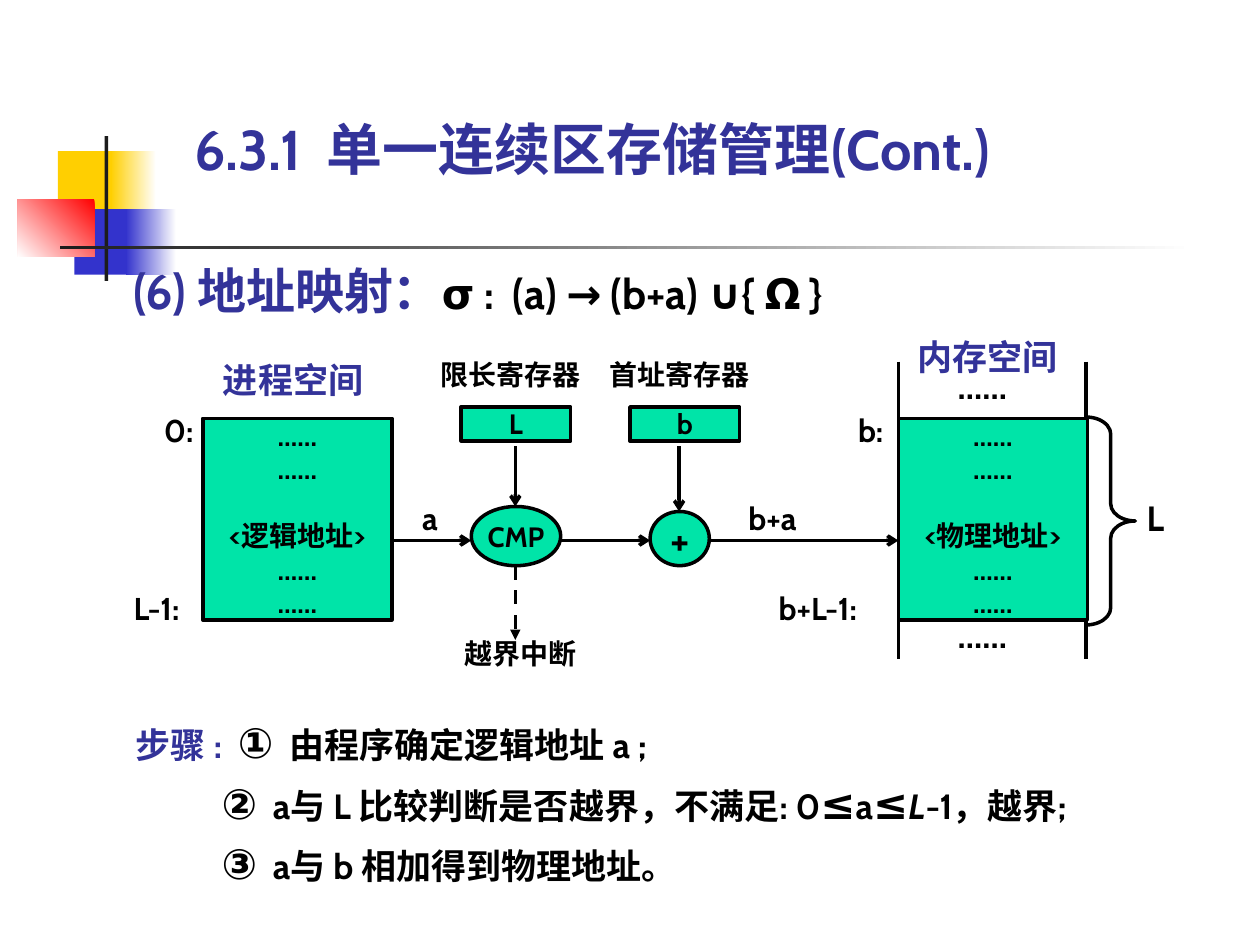
from dataclasses import dataclass

from lxml import etree
from pptx import Presentation
from pptx import util as u
from pptx.dml.color import RGBColor
from pptx.enum import dml, shapes, text
from pptx.oxml import ns


@dataclass(frozen=True)
class Theme:
    font: str = "Cabin"
    ink: str = "000000"
    accent: str = "333399"
    box: str = "00E4A8"
    gold: str = "FFCF01"
    blue: str = "3333CC"
    red: str = "FF0000"
    bar: str = "1C1C1C"
    white: str = "FFFFFF"
    title: int = 32
    heading: int = 28
    formula: int = 24
    body: int = 20
    label: int = 18
    small: int = 16
    line: int = 2


T = Theme()
SHAPE = shapes.MSO_SHAPE
LEFT, CENTER = text.PP_ALIGN.LEFT, text.PP_ALIGN.CENTER
TOP, MIDDLE = text.MSO_ANCHOR.TOP, text.MSO_ANCHOR.MIDDLE


def rgb(value):
    return RGBColor.from_string(value)


def inches(values):
    return [u.Inches(v) for v in values]


def format_run(r, size, color=T.ink, italic=False):
    r.font.name, r.font.size = T.font, u.Pt(size)
    r.font.bold, r.font.italic = True, italic
    r.font.color.rgb = rgb(color)


def add_runs(p, runs):
    for words, *style in runs:
        r = p.add_run()
        r.text = words
        format_run(r, *style)


def set_frame(tf, anchor=TOP, inset=(0, 0)):
    tf.word_wrap = True
    tf.auto_size = text.MSO_AUTO_SIZE.NONE
    tf.vertical_anchor = anchor
    tf.margin_left = tf.margin_right = u.Inches(inset[0])
    tf.margin_top = tf.margin_bottom = u.Inches(inset[1])


def write(tf, lines, size, color=T.ink, align=CENTER):
    tf.text = "\n".join(lines)
    for p in tf.paragraphs:
        p.alignment = align
        for r in p.runs:
            format_run(r, size, color)


def add_label(s, words, at, size, color=T.ink, align=LEFT, spacing=0.8):
    tf = s.shapes.add_textbox(*inches(at)).text_frame
    set_frame(tf)
    write(tf, [words], size, color, align)
    tf.paragraphs[0].line_spacing = spacing


def add_box(s, lines, at, size=T.small, kind=SHAPE.RECTANGLE, anchor=TOP):
    sp = s.shapes.add_shape(kind, *inches(at))
    sp.shadow.inherit = False
    sp.fill.solid()
    sp.fill.fore_color.rgb = rgb(T.box)
    sp.line.color.rgb = rgb(T.ink)
    sp.line.width = u.Pt(T.line)
    set_frame(sp.text_frame, anchor)
    write(sp.text_frame, lines, size)
    return sp


def add_line(s, start, end, head=None, dashed=False):
    c = s.shapes.add_connector(shapes.MSO_CONNECTOR.STRAIGHT, *inches(start + end))
    c.line.color.rgb = rgb(T.ink)
    c.line.width = u.Pt(T.line)
    if dashed:
        c.line.dash_style = dml.MSO_LINE.DASH
    if head:
        tail = etree.SubElement(c.line._get_or_add_ln(), ns.qn("a:tailEnd"))
        tail.set("type", head)
    etree.SubElement(c._element.spPr, ns.qn("a:effectLst"))


def add_block(s, at, colors, angle=180):
    """A borderless rectangle, plain with one colour and shaded with two."""
    sp = s.shapes.add_shape(SHAPE.RECTANGLE, *inches(at))
    sp.shadow.inherit = False
    sp.line.fill.background()
    if len(colors) == 1:
        sp.fill.solid()
        sp.fill.fore_color.rgb = rgb(colors[0])
        return
    sp.fill.gradient()
    sp.fill.gradient_angle = angle
    for position, (stop, color) in enumerate(zip(sp.fill.gradient_stops, colors)):
        stop.position = position
        stop.color.rgb = rgb(color)


def add_decoration(s):
    add_block(s, (0.46, 1.2, 0.48, 0.52), [T.gold])
    add_block(s, (0.88, 1.2, 0.36, 0.52), [T.white, T.gold])
    add_block(s, (0.59, 1.66, 0.46, 0.52), [T.blue])
    add_block(s, (1, 1.66, 0.4, 0.52), [T.white, T.blue])
    add_block(s, (0.14, 1.58, 0.61, 0.46), [T.red, T.white], 225)
    add_block(s, (0.83, 1.08, 0.03, 1.15), [T.bar])
    add_block(s, (0.48, 1.95, 9, 0.03), [T.white, T.bar])


def add_headings(s):
    title = s.shapes.title
    title.left, title.top, title.width, title.height = inches((1.54, 0.91, 7.01, 0.53))
    set_frame(title.text_frame, text.MSO_ANCHOR.BOTTOM)
    write(title.text_frame, ["6.3.1  单一连续区存储管理(Cont.)"], T.title, T.accent, LEFT)

    tf = s.shapes.add_textbox(*inches((1.06, 2.02, 7.72, 0.51))).text_frame
    set_frame(tf)
    p = tf.paragraphs[0]
    p.line_spacing = 1.1
    add_runs(p, [("(6) 地址映射：", T.heading, T.accent),
                 ("σ :  (a) → (b+a) ∪{ Ω }", T.formula)])


def add_space(s, left, address):
    dots = "……"
    sp = add_box(s, [dots, dots, address, dots, dots], (left, 3.32, 1.5, 1.6))
    sp.text_frame.paragraphs[2].space_before = u.Pt(19)


def add_diagram(s):
    # Process space and memory space
    for x in (7.13, 8.62):
        add_line(s, (x, 2.87), (x, 5.23))
    add_space(s, 1.61, "<逻辑地址>")
    add_space(s, 7.13, "<物理地址>")
    add_label(s, "进程空间", (1.77, 2.91, 1.26, 0.27), T.body, T.accent)
    add_label(s, "内存空间", (7.28, 2.73, 1.26, 0.27), T.body, T.accent)
    for y in (2.96, 4.93):
        add_label(s, "……", (7.6, y, 0.71, 0.27), T.body)
    for words, x, y, width in (("0:", 1.3, 3.32, 0.32), ("L-1:", 1.06, 4.73, 0.55),
                               ("b:", 6.81, 3.32, 0.32), ("b+L-1:", 6.18, 4.73, 0.94),
                               ("a", 3.35, 4.02, 0.16), ("b+a", 5.94, 4.02, 0.63)):
        add_label(s, words, (x, y, width, 0.24), T.label)

    # Brace over the length of the memory block
    brace = s.shapes.add_shape(SHAPE.RIGHT_BRACE, *inches((8.62, 3.31, 0.39, 1.65)))
    brace.shadow.inherit = False
    brace.fill.background()
    brace.line.color.rgb = rgb(T.ink)
    brace.line.width = u.Pt(T.line)
    brace.adjustments[0] = 0.35
    add_label(s, "L", (9.1, 3.94, 0.24, 0.33), T.body, spacing=1)

    # Registers, each feeding its operator
    for name, value, x, center, bottom in (("限长寄存器", "L", 3.5, 4.09, 4.02),
                                           ("首址寄存器", "b", 4.84, 5.39, 4.06)):
        add_label(s, name, (x, 2.84, 1.26, 0.27), T.small, spacing=1)
        add_box(s, [value], (x + 0.16, 3.23, 0.87, 0.27))
        add_line(s, (center, 3.54), (center, bottom), "arrow")
    add_box(s, ["CMP"], (3.74, 4.02, 0.71, 0.47), T.small, SHAPE.OVAL, MIDDLE).text_frame.word_wrap = False
    add_box(s, ["+"], (5.16, 4.06, 0.47, 0.43), T.formula, SHAPE.OVAL, MIDDLE).text_frame.word_wrap = False

    # Address flow and the out-of-range interrupt
    for start, end in ((3.11, 3.74), (4.45, 5.16), (5.63, 7.13)):
        add_line(s, (start, 4.29), (end, 4.29), "arrow")
    add_line(s, (4.09, 4.49), (4.09, 5.08), "triangle", dashed=True)
    add_label(s, "越界中断", (3.66, 5.05, 0.94, 0.27), T.small, align=CENTER, spacing=1)


def add_steps(s):
    tf = s.shapes.add_textbox(*inches((0.98, 5.56, 8.75, 1.54))).text_frame
    set_frame(tf, inset=(0.1, 0.05))
    steps = [
        [("步骤 :  ", T.body, T.accent), ("①", T.formula), ("  由程序确定逻辑地址 a ;", T.body)],
        [("②", T.formula), ("  a与 L 比较判断是否越界，不满足: 0", T.body), ("≤", T.formula),
         ("a", T.body), ("≤", T.formula), ("L", T.body, T.ink, True), ("-1，越界;", T.body)],
        [("③", T.formula), ("  a与 b 相加得到物理地址。", T.body)],
    ]
    for i, runs in enumerate(steps):
        p = tf.add_paragraph() if i else tf.paragraphs[0]
        p.line_spacing = 1.2
        if i:
            p._p.get_or_add_pPr().set("marL", str(u.Inches(0.68)))
        add_runs(p, runs)


def main():
    prs = Presentation()
    prs.slide_width, prs.slide_height = inches((10, 7.5))
    s = prs.slides.add_slide(prs.slide_layouts[5])
    add_decoration(s)
    add_headings(s)
    add_diagram(s)
    add_steps(s)
    prs.save("out.pptx")


if __name__ == "__main__":
    main()
